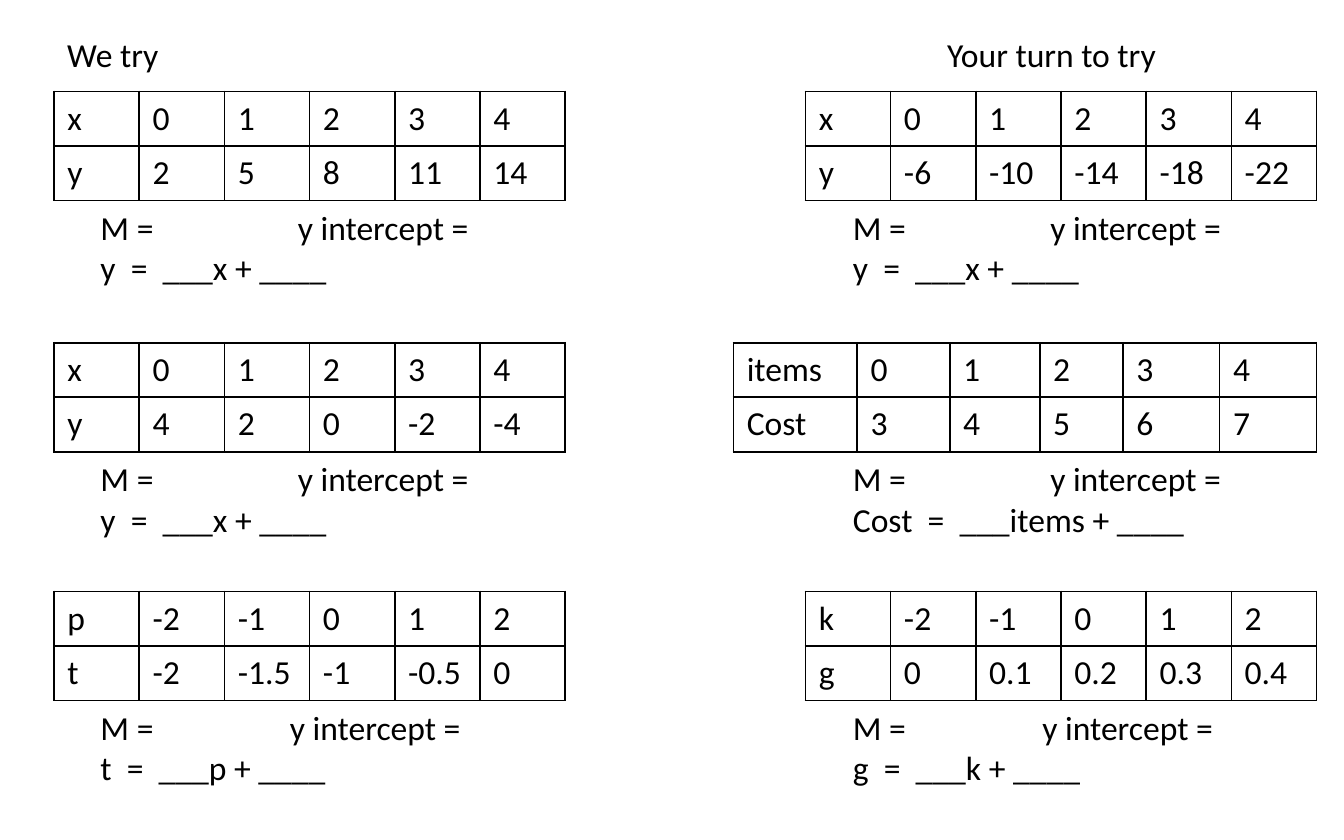
from lxml.etree import SubElement
from pptx import Presentation
from pptx.dml.color import RGBColor
from pptx.enum.text import MSO_AUTO_SIZE
from pptx.oxml import parse_xml
from pptx.oxml.ns import nsdecls, qn
from pptx.util import Cm, Pt

BLACK = RGBColor(0, 0, 0)
FONT = "Calibri"
EVEN_COLUMNS = [1.61] * 6
ITEM_COLUMNS = [2.34, 1.75, 1.7, 1.57, 1.83, 1.83]
ROW_HEIGHT = 1.03
PROMPT = "M =\ty intercept ="
TABLE_TOPS = [1.73, 6.48, 11.18]
INTERCEPT_TABS = [3.73, 3.73, 3.58]

SIDES = [
    {
        "heading": "We try", "heading_left": 1.02,
        "table_right": 10.68, "prompt_left": 1.65,
        "problems": [
            (["x", "0", "1", "2", "3", "4"], ["y", "2", "5", "8", "11", "14"],
             "y  =  ___x + ____", EVEN_COLUMNS),
            (["x", "0", "1", "2", "3", "4"], ["y", "4", "2", "0", "-2", "-4"],
             "y  =  ___x + ____", EVEN_COLUMNS),
            (["p", "-2", "-1", "0", "1", "2"], ["t", "-2", "-1.5", "-1", "-0.5", "0"],
             "t  =  ___p + ____", EVEN_COLUMNS),
        ],
    },
    {
        "heading": "Your turn to try", "heading_left": 17.65,
        "table_right": 24.88, "prompt_left": 15.87,
        "problems": [
            (["x", "0", "1", "2", "3", "4"], ["y", "-6", "-10", "-14", "-18", "-22"],
             "y  =  ___x + ____", EVEN_COLUMNS),
            (["items", "0", "1", "2", "3", "4"], ["Cost", "3", "4", "5", "6", "7"],
             "Cost  =  ___items + ____", ITEM_COLUMNS),
            (["k", "-2", "-1", "0", "1", "2"], ["g", "0", "0.1", "0.2", "0.3", "0.4"],
             "g  =  ___k + ____", EVEN_COLUMNS),
        ],
    },
]


def write(frame, *lines, size=18, color=BLACK, tab=None):
    for index, line in enumerate(lines):
        paragraph = frame.paragraphs[0] if index == 0 else frame.add_paragraph()
        if tab and "\t" in line:
            stops = SubElement(paragraph._p.get_or_add_pPr(), qn("a:tabLst"))
            SubElement(stops, qn("a:tab"), pos=str(Cm(tab)), algn="l")
        run = paragraph.add_run()
        run.text = line
        run.font.name = FONT
        run.font.size = Pt(size)
        run.font.color.rgb = color


def add_label(slide, left, top, width, height, *lines, **style):
    frame = slide.shapes.add_textbox(Cm(left), Cm(top), Cm(width), Cm(height)).text_frame
    frame.word_wrap = True
    frame.auto_size = MSO_AUTO_SIZE.SHAPE_TO_FIT_TEXT
    write(frame, *lines, **style)


def outline(cell):
    properties = cell._tc.get_or_add_tcPr()
    for position, edge in enumerate(("lnL", "lnR", "lnT", "lnB")):
        properties.insert(position, parse_xml(
            f'<a:{edge} {nsdecls("a")} w="{Pt(1)}"><a:solidFill>'
            f'<a:srgbClr val="{BLACK}"/></a:solidFill></a:{edge}>'))


def add_values(slide, right, top, rows, columns):
    width = sum(columns)
    table = slide.shapes.add_table(
        len(rows), len(columns), Cm(right - width), Cm(top),
        Cm(width), Cm(ROW_HEIGHT * len(rows))).table
    table.first_row = False
    table.horz_banding = False
    for column, column_width in zip(table.columns, columns):
        column.width = Cm(column_width)
    for table_row, values in zip(table.rows, rows):
        table_row.height = Cm(ROW_HEIGHT)
        for cell, value in zip(table_row.cells, values):
            cell.fill.background()
            outline(cell)
            write(cell.text_frame, value)


def main():
    deck = Presentation()
    deck.slide_width, deck.slide_height = Cm(25.4), Cm(15.88)
    slide = deck.slides.add_slide(deck.slide_layouts[6])
    for side in SIDES:
        add_label(slide, side["heading_left"], 0.51, 7.24, 1.03, side["heading"])
        for top, tab, problem in zip(TABLE_TOPS, INTERCEPT_TABS, side["problems"]):
            inputs, outputs, equation, columns = problem
            add_values(slide, side["table_right"], top, [inputs, outputs], columns)
            add_label(slide, side["prompt_left"], top + 2 * ROW_HEIGHT, 8.36, 1.8,
                      PROMPT, equation, tab=tab)
    deck.save("out.pptx")


if __name__ == "__main__":
    main()
